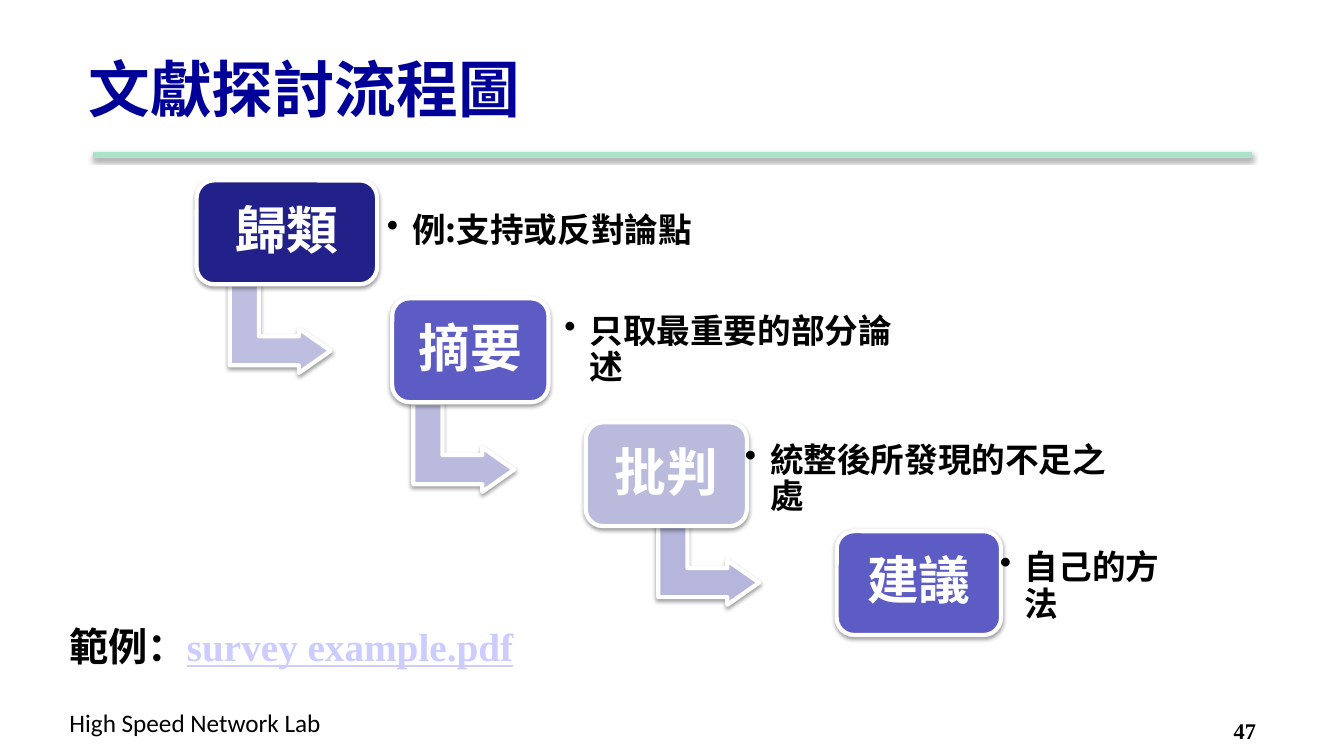
import pptx
import pptx.util
import pptx.dml.color
import pptx.enum.shapes
import pptx.enum.text
import pptx.oxml
import pptx.oxml.ns
from lxml import etree

RGBColor = pptx.dml.color.RGBColor
Shapes = pptx.enum.shapes.MSO_SHAPE
Align = pptx.enum.text.PP_ALIGN
Anchor = pptx.enum.text.MSO_ANCHOR
qualified = pptx.oxml.ns.qn

WIDTH = pptx.util.Inches(13.33)
HEIGHT = pptx.util.Inches(7.5)
COLUMN = WIDTH / 100
ROW = HEIGHT / 100

BLACK = RGBColor(0x00, 0x00, 0x00)
WHITE = RGBColor(0xFF, 0xFF, 0xFF)
TITLE_BLUE = RGBColor(0x00, 0x00, 0x99)
LINK_LILAC = RGBColor(0xCC, 0xCC, 0xFF)
RULE_GREEN = RGBColor(0xAA, 0xE2, 0xCA)
NAVY = RGBColor(0x21, 0x21, 0x89)
VIOLET = RGBColor(0x5C, 0x5C, 0xC4)
PALE_VIOLET = RGBColor(0xBA, 0xBA, 0xDC)
FIRST_ARROW = RGBColor(0xBE, 0xBE, 0xE0)
SECOND_ARROW = RGBColor(0xBA, 0xBA, 0xDE)
THIRD_ARROW = RGBColor(0xB6, 0xB6, 0xDC)

SERIF = "Times New Roman"
SANS = "Calibri"
CHINESE = "Noto Sans CJK SC"
STEP_HEIGHT = 13.73
NOTE_HEIGHT = 11.07

STEPS = [
    ("歸類", (14.63, 23.87, 13.43), NAVY),
    ("摘要", (29.18, 39.47, 11.63), VIOLET),
    ("批判", (43.58, 55.87, 12), PALE_VIOLET),
    ("建議", (62.25, 70.27, 12.23), VIOLET),
]
NOTES = [
    ("例:支持或反對論點", (28.05, 25.07, 33.3)),
    ("只取最重要的部分論述", (41.25, 40.8, 27.83)),
    ("統整後所發現的不足之處", (54.68, 57.87, 29.25)),
    ("自己的方法", (73.65, 72.13, 15.6)),
]
ARROWS = [
    ((17.55, 36.8), FIRST_ARROW),
    ((31.2, 52.53), SECOND_ARROW),
    ((49.43, 67.47), THIRD_ARROW),
]


def place(left, top, width, height):
    return (round(left * COLUMN), round(top * ROW),
            round(width * COLUMN), round(height * ROW))


def add_shadow(shape):
    properties = shape._element.spPr
    effects = properties.find(qualified("a:effectLst"))
    if effects is None:
        effects = etree.SubElement(properties, qualified("a:effectLst"))
    effects.append(pptx.oxml.parse_xml(
        f'<a:outerShdw {pptx.oxml.ns.nsdecls("a")} blurRad="39370" dist="20320" '
        'dir="5400000" rotWithShape="0"><a:srgbClr val="000000">'
        '<a:alpha val="38000"/></a:srgbClr></a:outerShdw>'))


def add_bullet(paragraph):
    properties = paragraph._p.get_or_add_pPr()
    indent = pptx.util.Inches(0.25)
    properties.set("marL", str(indent))
    properties.set("indent", str(-indent))
    etree.SubElement(properties, qualified("a:buChar")).set("char", "•")


def write_run(paragraph, text, size, color, font=SERIF, bold=True, underline=None):
    run = paragraph.add_run()
    run.text = text
    run.font.size = pptx.util.Pt(size)
    run.font.bold = bold
    run.font.underline = underline
    run.font.color.rgb = color
    run.font.name = font
    latin = run.font._element.find(qualified("a:latin"))
    east_asian = etree.Element(qualified("a:ea"))
    east_asian.set("typeface", CHINESE)
    latin.addnext(east_asian)


def write_text(shape, text, anchor=Anchor.TOP, align=Align.LEFT, spacing=None,
               inset=None, wrap=True, bullet=False, **run_format):
    frame = shape.text_frame
    frame.word_wrap = wrap
    frame.vertical_anchor = anchor
    if inset is not None:
        margin = pptx.util.Inches(inset)
        frame.margin_left = frame.margin_right = margin
        frame.margin_top = frame.margin_bottom = margin
    paragraph = frame.paragraphs[0]
    paragraph.alignment = align
    if spacing:
        paragraph.line_spacing = spacing
    if bullet:
        add_bullet(paragraph)
    write_run(paragraph, text, **run_format)
    return paragraph


def add_label(slide, text, area, **text_format):
    return write_text(slide.shapes.add_textbox(*place(*area)), text, **text_format)


def add_block(slide, kind, area, fill, adjustments):
    shape = slide.shapes.add_shape(kind, *place(*area))
    shape.fill.solid()
    shape.fill.fore_color.rgb = fill
    shape.line.color.rgb = WHITE
    shape.line.width = pptx.util.Pt(3)
    for index, value in enumerate(adjustments):
        shape.adjustments[index] = value
    shape.shadow.inherit = False
    add_shadow(shape)
    return shape


def add_rule(slide, left, right, top):
    start_x, start_y, length, _ = place(left, top, right - left, 0)
    rule = slide.shapes.add_connector(
        pptx.enum.shapes.MSO_CONNECTOR.STRAIGHT,
        start_x, start_y, start_x + length, start_y)
    rule.line.color.rgb = RULE_GREEN
    rule.line.width = pptx.util.Pt(4.5)
    add_shadow(rule)


def add_arrow(slide, corner, fill):
    arrow = add_block(slide, Shapes.BENT_UP_ARROW, (*corner, 6.6, 13.33),
                      fill, (0.328, 0.25, 0.358))
    arrow.rotation = 90


def add_step(slide, text, area, fill):
    step = add_block(slide, Shapes.ROUNDED_RECTANGLE, (*area, STEP_HEIGHT),
                     fill, (0.167,))
    write_text(step, text, size=37, color=WHITE, font=CHINESE, spacing=0.9,
               anchor=Anchor.MIDDLE, align=Align.CENTER, inset=0.15)


def main():
    presentation = pptx.Presentation()
    presentation.slide_width = WIDTH
    presentation.slide_height = HEIGHT
    slide = presentation.slides.add_slide(presentation.slide_layouts[6])

    add_rule(slide, 6.9, 93.15, 20.53)
    add_label(slide, "High Speed Network Lab", (4.43, 92.93, 20.93, 5.33),
              size=18, color=BLACK, font=SANS, bold=False, wrap=False)
    add_label(slide, "47", (91.05, 94.27, 7.43, 4), size=16, color=BLACK)
    add_label(slide, "文獻探討流程圖", (5.85, 3.33, 84.98, 16.67),
              size=44, color=TITLE_BLUE, anchor=Anchor.MIDDLE)

    for corner, fill in ARROWS:
        add_arrow(slide, corner, fill)
    for text, area, fill in STEPS:
        add_step(slide, text, area, fill)
    for text, area in NOTES:
        add_label(slide, text, (*area, NOTE_HEIGHT), size=24, color=BLACK,
                  font=CHINESE, spacing=0.9, anchor=Anchor.MIDDLE,
                  inset=0.1, bullet=True)

    example = add_label(slide, "範例：", (4.43, 82.67, 84.98, 8.53),
                        size=28, color=BLACK, spacing=0.85)
    write_run(example, "survey example.pdf", size=28, color=LINK_LILAC, underline=True)

    presentation.save("out.pptx")


if __name__ == "__main__":
    main()
